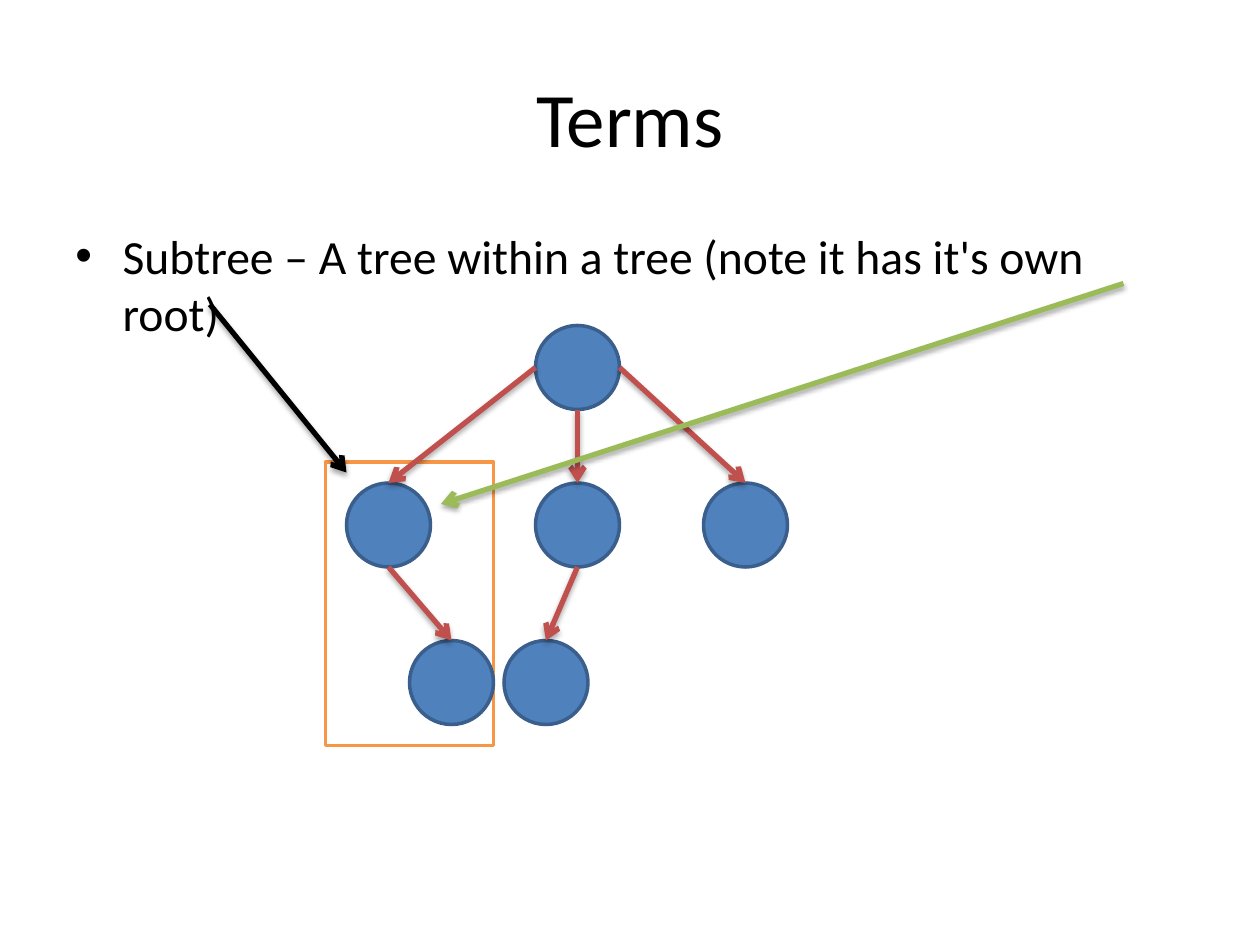
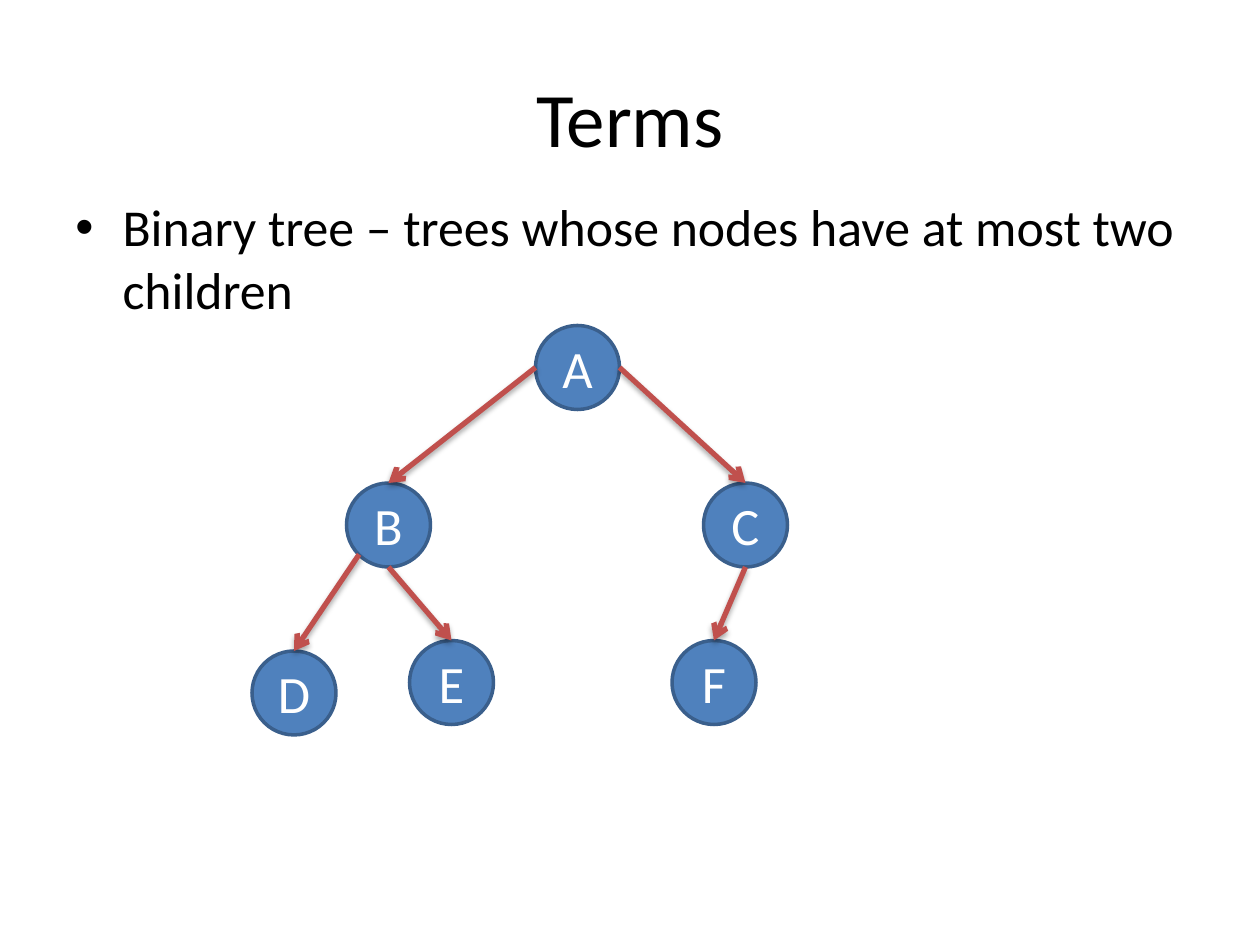
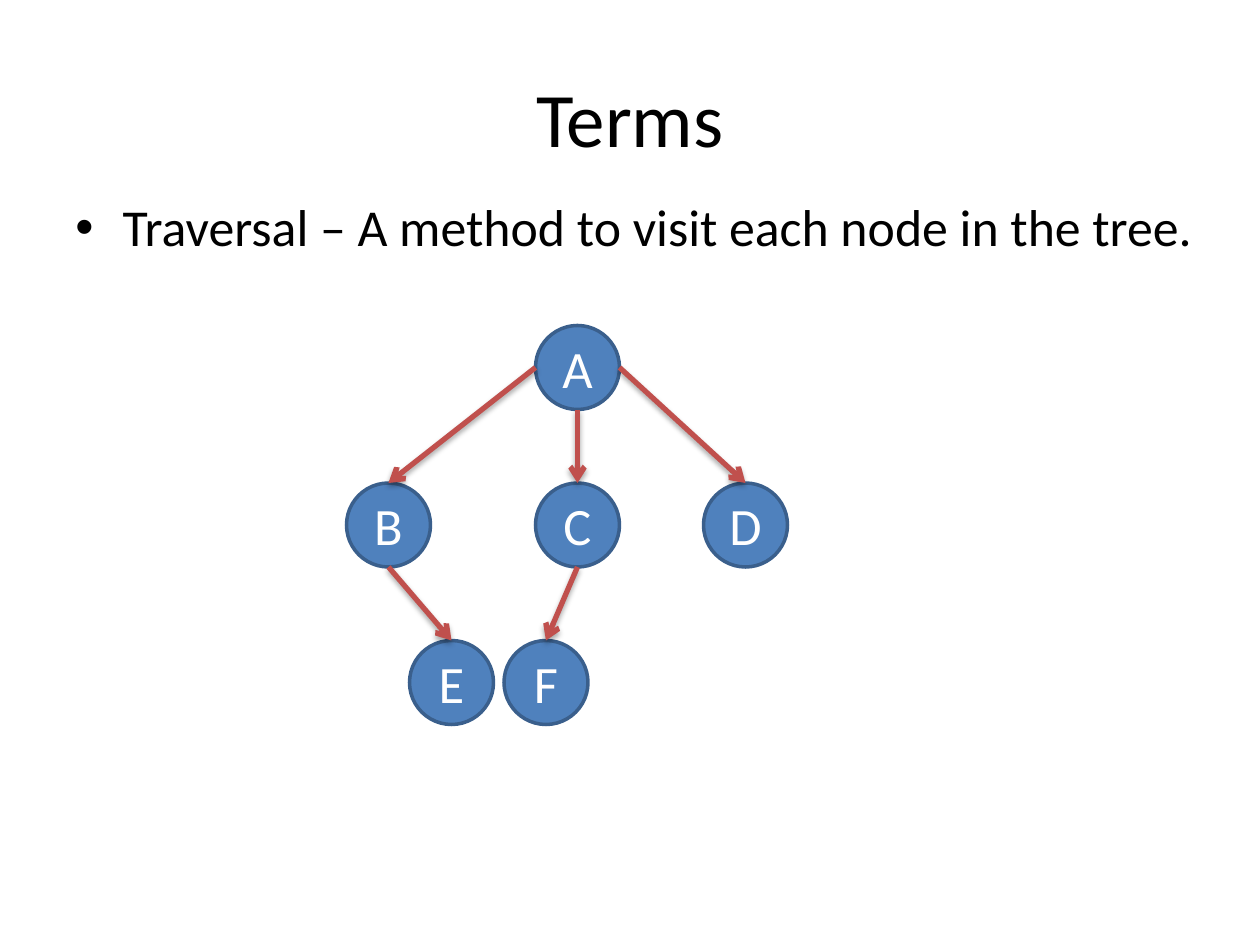
from dataclasses import dataclass
from enum import Enum
from math import sqrt
from typing import NamedTuple

from lxml.etree import SubElement
from pptx import Presentation
from pptx.dml.color import RGBColor as RGB
from pptx.enum.shapes import MSO_CONNECTOR as CONN, MSO_SHAPE as SHAPE
from pptx.enum.text import MSO_ANCHOR as ANCHOR, PP_ALIGN as ALIGN
from pptx.oxml.ns import qn
from pptx.util import Emu, Pt

EMU_PER_PX = 7620
NODE_SIZE = 80
HALF = NODE_SIZE // 2
DIAGONAL = round(HALF / sqrt(2))


@dataclass(frozen=True)
class Theme:
    font: str = "Calibri"
    text: str = "000000"
    paper: str = "FFFFFF"
    node: str = "4F81BD"
    node_line: str = "3A5F8C"
    edge: str = "C0504D"
    frame: str = "F79646"
    pointer: str = "9BBB59"
    title_size: float = 44
    label_size: float = 30
    outline: float = 2
    arrow: float = 3


THEME = Theme()


class Box(NamedTuple):
    x: int
    y: int
    w: int
    h: int


class Point(NamedTuple):
    x: int
    y: int


class Side(Enum):
    TOP = (0, -HALF)
    LEFT = (-HALF, 0)
    RIGHT = (HALF, 0)
    BOTTOM = (0, HALF)
    BOTTOM_LEFT = (-DIAGONAL, DIAGONAL)


class Node(NamedTuple):
    x: int
    y: int

    def at(self, side: Side) -> Point:
        dx, dy = side.value
        return Point(self.x + HALF + dx, self.y + HALF + dy)


class Edge(NamedTuple):
    parent: str
    side: Side
    child: str


class Arrow(NamedTuple):
    start: Point
    end: Point
    color: str


class Tree(NamedTuple):
    nodes: dict[str, Node]
    edges: list[Edge]


class Term(NamedTuple):
    text: str
    size: float
    box: Box
    tree: Tree
    labelled: bool = True
    frame: Box | None = None
    pointers: tuple[Arrow, ...] = ()


TITLE_BOX = Box(60, 36, 1080, 150)
BODY_BOX = Box(60, 180, 1090, 110)
BULLET_INDENT = 45
ROW_1, ROW_2, ROW_3 = 310, 460, 610

GENERAL_TREE = Tree(
    {
        "A": Node(510, ROW_1),
        "B": Node(330, ROW_2),
        "C": Node(510, ROW_2),
        "D": Node(670, ROW_2),
        "E": Node(390, ROW_3),
        "F": Node(480, ROW_3),
    },
    [
        Edge("A", Side.LEFT, "B"),
        Edge("A", Side.BOTTOM, "C"),
        Edge("A", Side.RIGHT, "D"),
        Edge("B", Side.BOTTOM, "E"),
        Edge("C", Side.BOTTOM, "F"),
    ],
)
BINARY_TREE = Tree(
    {
        "A": Node(510, ROW_1),
        "B": Node(330, ROW_2),
        "C": Node(670, ROW_2),
        "D": Node(240, ROW_3 + 10),
        "E": Node(390, ROW_3),
        "F": Node(640, ROW_3),
    },
    [
        Edge("A", Side.LEFT, "B"),
        Edge("A", Side.RIGHT, "C"),
        Edge("B", Side.BOTTOM_LEFT, "D"),
        Edge("B", Side.BOTTOM, "E"),
        Edge("C", Side.BOTTOM, "F"),
    ],
)

TERMS = [
    Term(
        "Subtree – A tree within a tree (note it has it's own root)",
        27.2,
        Box(60, 210, 1080, 80),
        GENERAL_TREE,
        labelled=False,
        frame=Box(310, 440, 160, 270),
        pointers=(
            Arrow(Point(200, 290), Point(330, 450), THEME.text),
            Arrow(Point(1070, 270), Point(420, 480), THEME.pointer),
        ),
    ),
    Term(
        "Binary tree – trees whose nodes have at most two children",
        29.6,
        BODY_BOX,
        BINARY_TREE,
    ),
    Term(
        "Traversal – A method to visit each node in the tree.",
        29.6,
        BODY_BOX,
        GENERAL_TREE,
    ),
]


def px(n: int) -> Emu:
    return Emu(n * EMU_PER_PX)


def write(tf, text: str, *, size: float, color: str = THEME.text,
          align=ALIGN.LEFT, anchor=ANCHOR.TOP, bullet: bool = False) -> None:
    tf.word_wrap = True
    tf.vertical_anchor = anchor
    p = tf.paragraphs[0]
    p.alignment = align
    if bullet:
        p.space_before = Pt(2)
        pPr = p._p.get_or_add_pPr()
        pPr.set("marL", str(px(BULLET_INDENT)))
        pPr.set("indent", str(-px(BULLET_INDENT)))
        SubElement(pPr, qn("a:buFont"), typeface="Arial")
        SubElement(pPr, qn("a:buChar"), char="•")
    r = p.add_run()
    r.text = text
    r.font.name = THEME.font
    r.font.size = Pt(size)
    r.font.color.rgb = RGB.from_string(color)


def add_text(s, box: Box, text: str, **fmt) -> None:
    write(s.shapes.add_textbox(*map(px, box)).text_frame, text, **fmt)


def add_shape(s, kind, box: Box, fill: str, line: str):
    sp = s.shapes.add_shape(kind, *map(px, box))
    sp.shadow.inherit = False
    sp.fill.solid()
    sp.fill.fore_color.rgb = RGB.from_string(fill)
    sp.line.color.rgb = RGB.from_string(line)
    sp.line.width = Pt(THEME.outline)
    return sp


def add_arrow(s, arrow: Arrow) -> None:
    cxn = s.shapes.add_connector(CONN.STRAIGHT, *map(px, arrow.start + arrow.end))
    cxn.line.color.rgb = RGB.from_string(arrow.color)
    cxn.line.width = Pt(THEME.arrow)
    spPr = cxn.element.spPr
    SubElement(spPr.find(qn("a:ln")), qn("a:tailEnd"), type="arrow")
    effects = SubElement(spPr, qn("a:effectLst"))
    shadow = SubElement(effects, qn("a:outerShdw"), blurRad="40000",
                        dist="23000", dir="5400000", rotWithShape="0")
    tint = SubElement(shadow, qn("a:srgbClr"), val=THEME.text)
    SubElement(tint, qn("a:alpha"), val="35000")


def add_tree(s, tree: Tree, labelled: bool) -> None:
    for name, node in tree.nodes.items():
        sp = add_shape(s, SHAPE.OVAL, Box(node.x, node.y, NODE_SIZE, NODE_SIZE),
                       THEME.node, THEME.node_line)
        if labelled:
            write(sp.text_frame, name, size=THEME.label_size, color=THEME.paper,
                  align=ALIGN.CENTER, anchor=ANCHOR.MIDDLE)
    for parent, side, child in tree.edges:
        add_arrow(s, Arrow(tree.nodes[parent].at(side),
                           tree.nodes[child].at(Side.TOP), THEME.edge))


def add_term(prs, term: Term) -> None:
    s = prs.slides.add_slide(prs.slide_layouts[6])
    if term.frame:
        add_shape(s, SHAPE.RECTANGLE, term.frame, THEME.paper, THEME.frame)
    add_text(s, TITLE_BOX, "Terms", size=THEME.title_size,
             align=ALIGN.CENTER, anchor=ANCHOR.MIDDLE)
    add_text(s, term.box, term.text, size=term.size, bullet=True)
    add_tree(s, term.tree, term.labelled)
    for pointer in term.pointers:
        add_arrow(s, pointer)


def main() -> None:
    prs = Presentation()
    prs.slide_width, prs.slide_height = px(1200), px(900)
    for term in TERMS:
        add_term(prs, term)
    prs.save("out.pptx")


if __name__ == "__main__":
    main()
